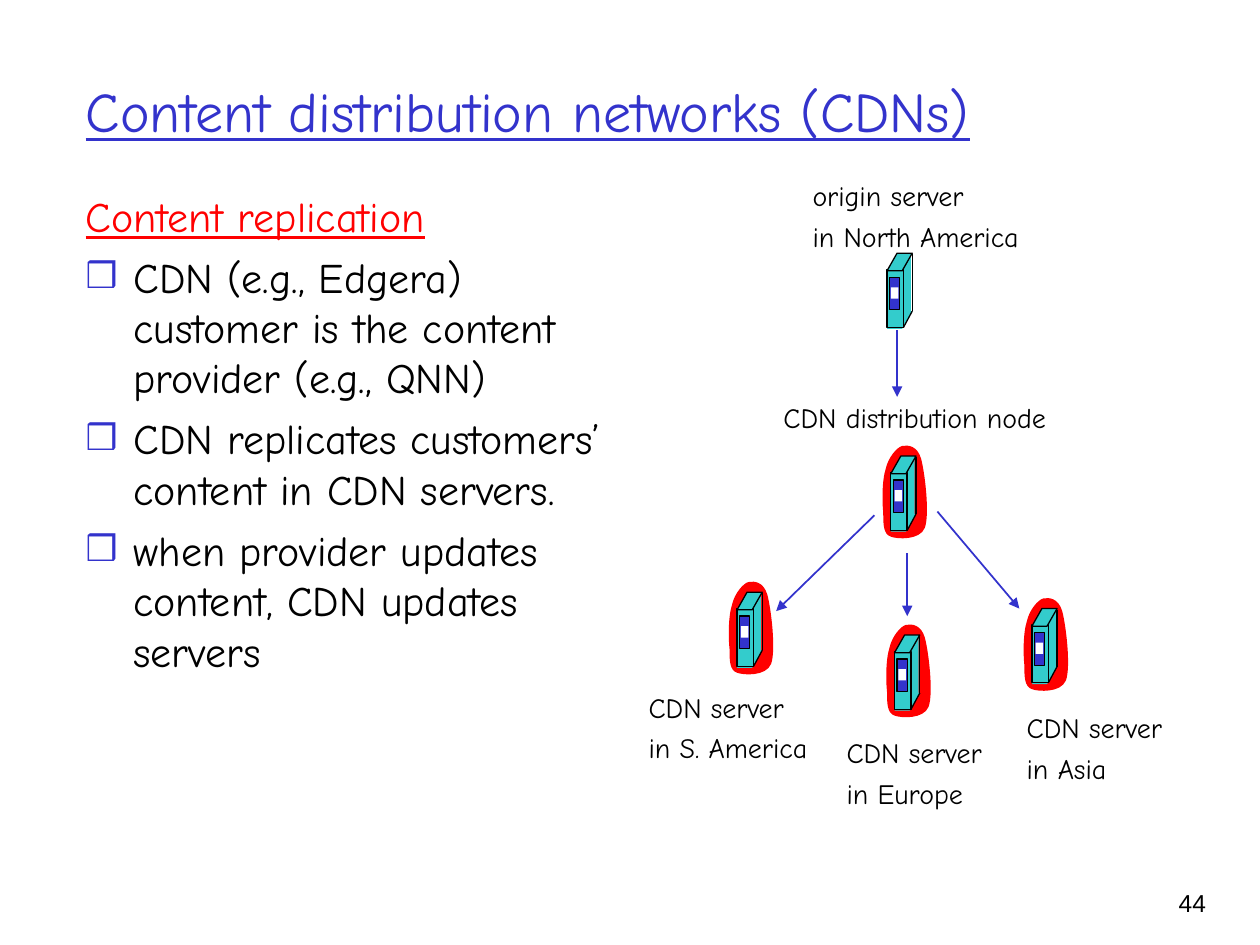
from lxml.etree import SubElement
from pptx import Presentation
from pptx.dml.color import RGBColor
from pptx.enum.shapes import MSO_CONNECTOR as Connector, MSO_SHAPE as Shape
from pptx.enum.text import MSO_ANCHOR as Anchor, MSO_AUTO_SIZE as AutoSize, PP_ALIGN as Align
from pptx.oxml.ns import qn
from pptx.util import Inches, Pt

BLUE = RGBColor(0x33, 0x33, 0xCC)
RED = RGBColor(0xFF, 0x00, 0x00)
TEAL = RGBColor(0x33, 0xCC, 0xCC)
BLACK = RGBColor(0x00, 0x00, 0x00)
WHITE = RGBColor(0xFF, 0xFF, 0xFF)
FONT = "Comic Neue"

TITLE = "Content distribution networks (CDNs)"
HEADING = "Content replication"
BULLETS = [
    "CDN (e.g., Edgera) customer is the content provider (e.g., QNN)",
    "CDN replicates customers’ content in CDN servers.",
    "when provider updates content, CDN updates servers",
]
SERVER_PARTS = [
    (Shape.PARALLELOGRAM, (0, 0.46, 0.2, 0.14), TEAL, False),
    (Shape.RECTANGLE, (0.1, 0.01, 0.09, 0.46), TEAL, False),
    (Shape.RECTANGLE, (0, 0.13, 0.13, 0.46), TEAL, True),
    (Shape.PARALLELOGRAM, (0, 0, 0.2, 0.14), TEAL, True),
    (Shape.RECTANGLE, (0.02, 0.19, 0.08, 0.26), BLUE, True),
    (Shape.RECTANGLE, (0.03, 0.27, 0.06, 0.09), WHITE, False),
]
SERVER_EDGES = [((0.2, 0.01), (0.2, 0.46)), ((0.2, 0.46), (0.13, 0.59))]
HALO_START = (0.03, 0.19)
HALO_CURVES = [
    ((0.05, 0.1), (0.12, 0.02), (0.16, 0.01)),
    ((0.21, 0), (0.28, 0.01), (0.31, 0.11)),
    ((0.34, 0.22), (0.38, 0.55), (0.34, 0.66)),
    ((0.3, 0.76), (0.12, 0.75), (0.07, 0.73)),
    ((0.01, 0.71), (0.01, 0.63), (0.01, 0.54)),
    ((0, 0.45), (0, 0.28), HALO_START),
]
HALO_OFFSET = (-0.07, -0.09)
ORIGIN_SERVER = (7.04, 2.01)
CDN_SERVERS = [(5.85, 4.7), (7.1, 5.04), (8.19, 4.83), (7.07, 3.62)]
ARROWS = [
    ((7.12, 2.62), (7.12, 3.15)),
    ((6.94, 4.09), (6.16, 4.85)),
    ((7.2, 4.39), (7.2, 4.89)),
    ((7.44, 4.06), (8.09, 4.83)),
]
LABELS = [
    ((6.35, 1.37, 1.85, 0.69), ["origin server", "in North America"]),
    ((6.12, 3.13, 2.3, 0.37), ["CDN distribution node"]),
    ((5.05, 5.43, 1.46, 0.69), ["CDN server", "in S. America"]),
    ((6.62, 5.79, 1.28, 0.69), ["CDN server", "in Europe"]),
    ((8.05, 5.59, 1.28, 0.69), ["CDN server", "in Asia"]),
]


def inches(values):
    """Convert a sequence of numbers to lengths."""
    return [Inches(value) for value in values]


def place(shape, box):
    """Move and size a shape."""
    shape.left, shape.top, shape.width, shape.height = inches(box)


def format_runs(paragraph, size, color, name=FONT, underline=False):
    """Set the font of every run in a paragraph."""
    for run in paragraph.runs:
        run.font.name = name
        run.font.size = Pt(size)
        run.font.color.rgb = color
        run.font.underline = underline


def set_bullet(paragraph, character=None):
    """Give a paragraph a hanging indent and an optional bullet."""
    properties = paragraph._p.get_or_add_pPr()
    properties.set("marL", str(Inches(0.38)))
    properties.set("indent", str(-Inches(0.38)))
    if character is None:
        SubElement(properties, qn("a:buNone"))
        return
    color = SubElement(properties, qn("a:buClr"))
    SubElement(color, qn("a:srgbClr"), val=str(BLUE))
    SubElement(properties, qn("a:buSzPct"), val="85000")
    SubElement(properties, qn("a:buChar"), char=character)


def fill_title(title):
    """Write the slide title."""
    place(title, (0.58, 0.25, 8.78, 1.25))
    text_frame = title.text_frame
    text_frame.text = TITLE
    text_frame.auto_size = AutoSize.NONE
    text_frame.vertical_anchor = Anchor.MIDDLE
    paragraph = text_frame.paragraphs[0]
    paragraph.alignment = Align.LEFT
    format_runs(paragraph, 32, BLUE, underline=True)


def fill_body(body):
    """Write the heading and the bulleted list."""
    place(body, (0.58, 1.46, 4.45, 5.37))
    text_frame = body.text_frame
    text_frame.text = "\n".join([HEADING, *BULLETS])
    text_frame.auto_size = AutoSize.NONE
    for paragraph in text_frame.paragraphs:
        paragraph.space_before = Pt(6)
        is_heading = paragraph.text == HEADING
        set_bullet(paragraph, None if is_heading else "❒")
        format_runs(paragraph, 24, RED if is_heading else BLACK, underline=is_heading)


def style_shape(shape, fill, outlined=False):
    """Set fill and outline and remove the shadow."""
    shape.shadow.inherit = False
    shape.fill.solid()
    shape.fill.fore_color.rgb = fill
    if outlined:
        shape.line.color.rgb = BLACK
        shape.line.width = Pt(0.75)
    else:
        shape.line.fill.background()


def add_line(shapes, start, end, color, width, arrow=False):
    """Draw a straight line with an optional arrowhead."""
    line = shapes.add_connector(Connector.STRAIGHT, *inches(start + end))
    line.line.color.rgb = color
    line.line.width = Pt(width)
    if arrow:
        SubElement(line.line._get_or_add_ln(), qn("a:tailEnd"), type="triangle")
    SubElement(line._element.spPr, qn("a:effectLst"))


def bend_segments(shape):
    """Turn every three line segments of a freeform into one cubic curve."""
    segments = list(shape._element.iter(qn("a:lnTo")))
    for first, second, third in zip(segments[::3], segments[1::3], segments[2::3]):
        curve = first.makeelement(qn("a:cubicBezTo"))
        first.addprevious(curve)
        for segment in (first, second, third):
            curve.append(segment[0])
            segment.getparent().remove(segment)


def add_halo(shapes, left, top):
    """Draw the red curved area behind a server."""
    points = [inches((left + x, top + y)) for curve in HALO_CURVES for x, y in curve]
    builder = shapes.build_freeform(*points[-1])
    builder.add_line_segments(points, close=True)
    halo = builder.convert_to_shape()
    bend_segments(halo)
    style_shape(halo, RED)


def add_server(slide, left, top, halo=False):
    """Draw a grouped server tower."""
    shapes = slide.shapes.add_group_shape().shapes
    if halo:
        add_halo(shapes, left + HALO_OFFSET[0], top + HALO_OFFSET[1])
    for kind, (x, y, width, height), fill, outlined in SERVER_PARTS:
        part = shapes.add_shape(kind, *inches((left + x, top + y, width, height)))
        if kind == Shape.PARALLELOGRAM:
            part.adjustments[0] = 0.57
        style_shape(part, fill, outlined)
    for edge in SERVER_EDGES:
        start, end = ((left + x, top + y) for x, y in edge)
        add_line(shapes, start, end, BLACK, 0.75)


def add_label(slide, box, lines):
    """Add a label of one or more lines."""
    text_frame = slide.shapes.add_textbox(*inches(box)).text_frame
    text_frame.text = "\n".join(lines)
    text_frame.word_wrap = False
    text_frame.auto_size = AutoSize.SHAPE_TO_FIT_TEXT
    for paragraph in text_frame.paragraphs:
        paragraph.space_before = Pt(4)
        format_runs(paragraph, 16, BLACK)


def add_page_number(slide):
    """Add the page number."""
    text_frame = slide.shapes.add_textbox(*inches((8.93, 7, 0.74, 0.5))).text_frame
    text_frame.text = "44"
    text_frame.word_wrap = True
    paragraph = text_frame.paragraphs[0]
    paragraph.alignment = Align.RIGHT
    format_runs(paragraph, 14, BLACK, name="Arial")


def main():
    """Build and save the slide."""
    presentation = Presentation()
    presentation.slide_width, presentation.slide_height = inches((10, 7.5))
    slide = presentation.slides.add_slide(presentation.slide_layouts[1])
    fill_title(slide.shapes.title)
    fill_body(slide.placeholders[1])
    add_server(slide, *ORIGIN_SERVER)
    for position in CDN_SERVERS:
        add_server(slide, *position, halo=True)
    for box, lines in LABELS:
        add_label(slide, box, lines)
    for start, end in ARROWS:
        add_line(slide.shapes, start, end, BLUE, 1, arrow=True)
    add_page_number(slide)
    presentation.save("out.pptx")


if __name__ == "__main__":
    main()
